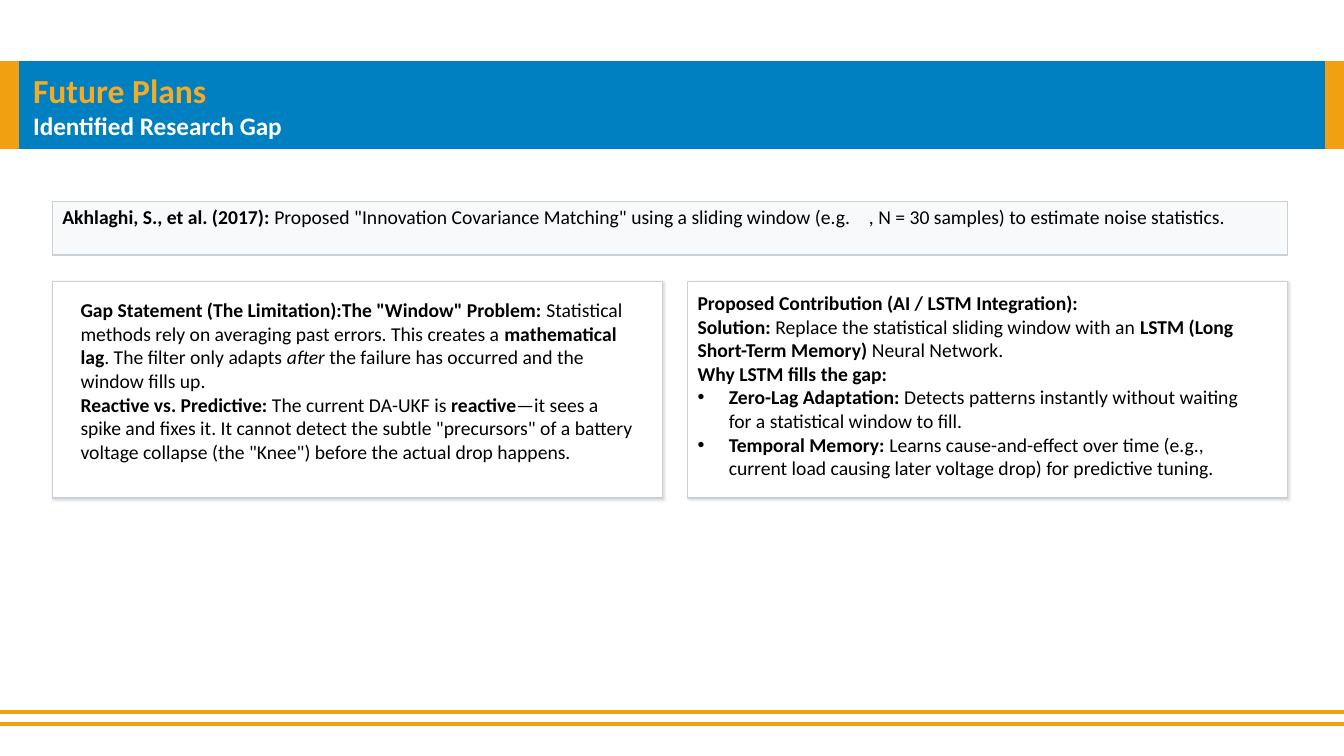
from dataclasses import dataclass

from lxml.etree import SubElement
from pptx import Presentation
from pptx.dml.color import RGBColor
from pptx.enum.shapes import MSO_SHAPE
from pptx.oxml.ns import qn
from pptx.util import Inches, Pt


@dataclass(frozen=True)
class Theme:
    font: str = "Calibri"
    orange: str = "F0A010"
    blue: str = "0080C0"
    title: str = "F4AC28"
    white: str = "FFFFFF"
    black: str = "000000"
    pale: str = "F7F9FB"
    border: str = "C8D0D8"
    title_size: int = 24
    subtitle_size: int = 18
    body_size: int = 14


THEME = Theme()
SLIDE_WIDTH, SLIDE_HEIGHT = 13.33, 7.5
BAND_TOP, BAND_HEIGHT = 0.61, 0.86
EDGE_WIDTH = 0.18
CARD_TOP, CARD_HEIGHT = 2.79, 2.15

CITATION = [
    [("Akhlaghi, S., et al. (2017):", "b"),
     (' Proposed "Innovation Covariance Matching" using a sliding window (e.g.\t'
      ", N = 30 samples) to estimate noise statistics.", "")],
]
GAP_STATEMENT = [
    [('Gap Statement (The Limitation):The "Window" Problem:', "b"),
     (" Statistical methods rely on averaging past errors. This creates a ", ""),
     ("mathematical lag", "b"),
     (". The filter only adapts ", ""),
     ("after", "i"),
     (" the failure has occurred and the window fills up.", "")],
    [("Reactive vs. Predictive:", "b"),
     (" The current DA-UKF is ", ""),
     ("reactive", "b"),
     ('—it sees a spike and fixes it. It cannot detect the subtle "precursors" of a '
      'battery voltage collapse (the "Knee") before the actual drop happens.', "")],
]
CONTRIBUTION = [
    [("Proposed Contribution (AI / LSTM Integration):", "b")],
    [("Solution:", "b"),
     (" Replace the statistical sliding window with an ", ""),
     ("LSTM (Long Short-Term Memory)", "b"),
     (" Neural Network.", "")],
    [("Why LSTM fills the gap:", "b")],
]
LSTM_BENEFITS = [
    [("Zero-Lag Adaptation:", "b"),
     (" Detects patterns instantly without waiting for a statistical window to fill.", "")],
    [("Temporal Memory: ", "b"),
     ("Learns cause-and-effect over time (e.g., current load causing later voltage drop) "
      "for predictive tuning.", "")],
]


def add_box(slide, left, top, width, height, fill, line):
    shape = slide.shapes.add_shape(
        MSO_SHAPE.RECTANGLE, Inches(left), Inches(top), Inches(width), Inches(height))
    shape.shadow.inherit = False
    shape.fill.solid()
    shape.fill.fore_color.rgb = RGBColor.from_string(fill)
    shape.line.color.rgb = RGBColor.from_string(line)
    shape.line.width = Pt(1)
    return shape


def add_card(slide, left, width):
    """Add a white bordered box with a soft shadow towards the lower right."""
    card = add_box(slide, left, CARD_TOP, width, CARD_HEIGHT, THEME.white, THEME.border)
    effects = card._element.spPr.find(qn("a:effectLst"))
    shadow = SubElement(effects, qn("a:outerShdw"), blurRad=str(Pt(2)), dist=str(Pt(1)),
                        dir=str(45 * 60000), algn="tl", rotWithShape="0")
    color = SubElement(shadow, qn("a:srgbClr"), val=THEME.black)
    SubElement(color, qn("a:alpha"), val="12000")


def add_text_frame(slide, left, top, width, height):
    box = slide.shapes.add_textbox(Inches(left), Inches(top), Inches(width), Inches(height))
    box.text_frame.word_wrap = True
    return box.text_frame


def next_paragraph(frame):
    first = frame.paragraphs[0]
    return first if not first.runs else frame.add_paragraph()


def add_run(paragraph, text, size, color, bold=False, italic=False):
    run = paragraph.add_run()
    run.text = text
    run.font.name = THEME.font
    run.font.size = Pt(size)
    run.font.color.rgb = RGBColor.from_string(color)
    run.font.bold = bold
    run.font.italic = italic


def set_bullet(paragraph):
    properties = paragraph._p.get_or_add_pPr()
    properties.set("marL", str(Inches(0.31)))
    properties.set("indent", str(-Inches(0.31)))
    SubElement(properties, qn("a:buFont"), typeface="Arial")
    SubElement(properties, qn("a:buChar"), char="•")


def add_body(frame, paragraphs, bulleted=False):
    """Write paragraphs of (text, style) runs, where style is "b", "i" or empty."""
    for runs in paragraphs:
        paragraph = next_paragraph(frame)
        if bulleted:
            set_bullet(paragraph)
        for text, style in runs:
            add_run(paragraph, text, THEME.body_size, THEME.black, style == "b", style == "i")


def add_header(slide):
    add_box(slide, 0, BAND_TOP, SLIDE_WIDTH, BAND_HEIGHT, THEME.blue, THEME.blue)
    for left in (0, SLIDE_WIDTH - EDGE_WIDTH):
        add_box(slide, left, BAND_TOP, EDGE_WIDTH, BAND_HEIGHT, THEME.orange, THEME.orange)
    frame = add_text_frame(slide, 0.23, 0.64, 12.87, 0.81)
    add_run(next_paragraph(frame), "Future Plans", THEME.title_size, THEME.title, bold=True)
    add_run(next_paragraph(frame), "Identified Research Gap", THEME.subtitle_size,
            THEME.white, bold=True)


def add_footer_lines(slide):
    for top in (7.05, 7.17):
        add_box(slide, 0, top, SLIDE_WIDTH, 0.03, THEME.orange, THEME.orange)


def main():
    presentation = Presentation()
    presentation.slide_width = Inches(SLIDE_WIDTH)
    presentation.slide_height = Inches(SLIDE_HEIGHT)
    slide = presentation.slides.add_slide(presentation.slide_layouts[6])

    add_footer_lines(slide)
    add_header(slide)

    add_box(slide, 0.52, 2, 12.25, 0.53, THEME.pale, THEME.border)
    add_body(add_text_frame(slide, 0.52, 1.98, 11.89, 0.61), CITATION)

    add_card(slide, 0.52, 6.05)
    add_body(add_text_frame(slide, 0.7, 2.91, 5.69, 1.91), GAP_STATEMENT)

    add_card(slide, 6.82, 5.95)
    contribution = add_text_frame(slide, 6.82, 2.84, 5.59, 1.91)
    add_body(contribution, CONTRIBUTION)
    add_body(contribution, LSTM_BENEFITS, bulleted=True)

    presentation.save("out.pptx")


if __name__ == "__main__":
    main()
